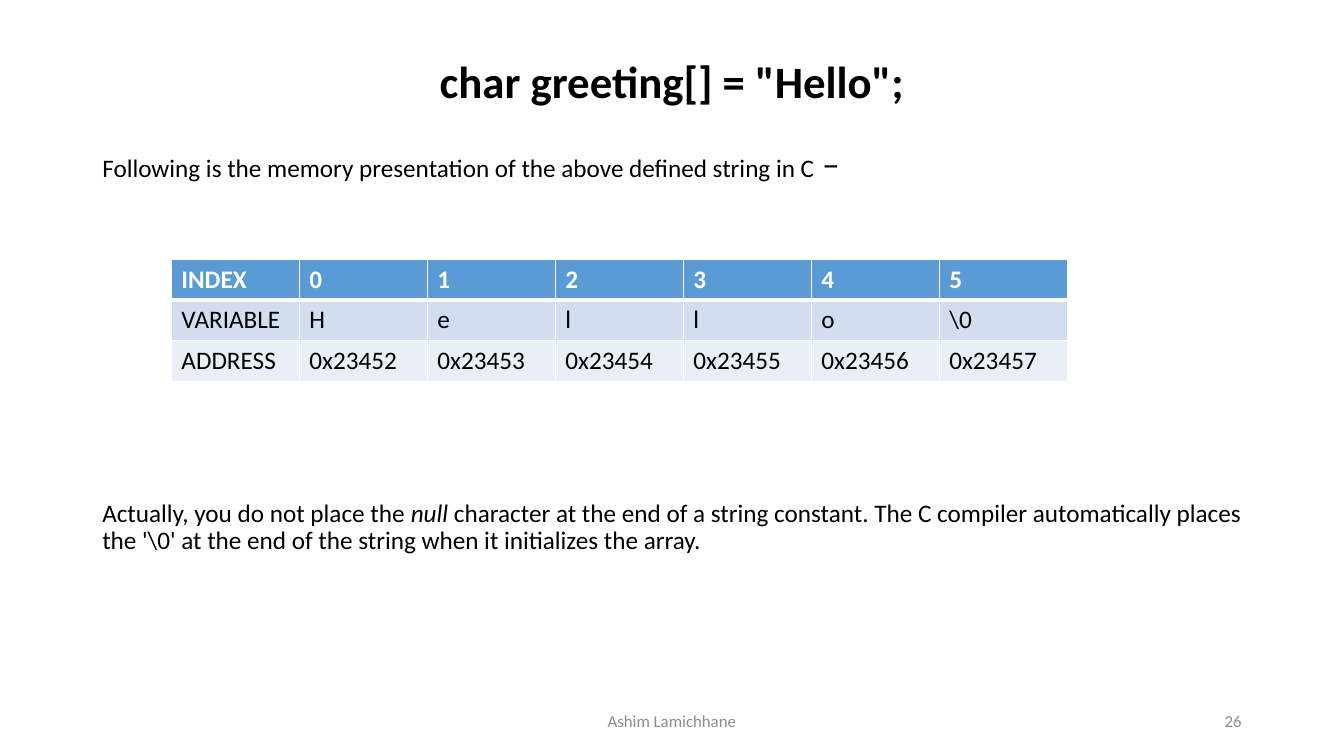
from lxml import etree
from pptx import Presentation
from pptx.dml.color import RGBColor
from pptx.enum.text import MSO_ANCHOR as Anchor, PP_ALIGN as Align
from pptx.oxml.ns import qn
from pptx.util import Pt

FONT = "Calibri"
BLACK, WHITE, GREY = "000000", "FFFFFF", "8C8C8C"
HEADER_FILL, BAND_FILLS = "5B9BD5", ("D2DEEF", "EAEFF7")
MARGIN, CONTENT_WIDTH = 66, 828
FOOTER_TOP, FOOTER_HEIGHT = 500.5, 28.75

MEMORY = [
    ["INDEX", *map(str, range(6))],
    ["VARIABLE", *"Hello", r"\0"],
    ["ADDRESS", *(f"0x{23452 + index}" for index in range(6))],
]


def color(value):
    return RGBColor.from_string(value)


class SlideBuilder:
    def __init__(self, slide):
        self.slide = slide

    def style(self, paragraph, size, fill=BLACK, bold=False, align=Align.LEFT):
        paragraph.alignment = align
        font = paragraph.font
        font.name, font.size, font.bold = FONT, Pt(size), bold
        font.color.rgb = color(fill)

    def title(self, text, left, top, width, height):
        shape = self.slide.shapes.title
        shape.left, shape.top, shape.width, shape.height = map(Pt, (left, top, width, height))
        frame = shape.text_frame
        frame.text = text
        frame.vertical_anchor = Anchor.MIDDLE
        paragraph = frame.paragraphs[0]
        paragraph.line_spacing = 0.9
        self.style(paragraph, 32, bold=True, align=Align.CENTER)

    def text_box(self, left, top, width, height, anchor=Anchor.TOP):
        frame = self.slide.shapes.add_textbox(*map(Pt, (left, top, width, height))).text_frame
        frame.word_wrap = True
        frame.vertical_anchor = anchor
        return frame

    def body_text(self, paragraph, runs, space_before, align=Align.LEFT):
        """Fill a paragraph from (text, size, italic) runs."""
        self.style(paragraph, 18, align=align)
        paragraph.line_spacing = 0.9
        paragraph.space_before = Pt(space_before)
        for text, size, italic in runs:
            run = paragraph.add_run()
            run.text = text
            run.font.size, run.font.italic = Pt(size), italic

    def footer(self, text, left, width, align):
        frame = self.text_box(left, FOOTER_TOP, width, FOOTER_HEIGHT, Anchor.MIDDLE)
        frame.text = text
        self.style(frame.paragraphs[0], 12, GREY, align=align)

    def border(self, cell, side, width):
        line = etree.SubElement(cell._tc.get_or_add_tcPr(), qn(f"a:ln{side}"), w=str(Pt(width)))
        fill = etree.SubElement(line, qn("a:solidFill"))
        etree.SubElement(fill, qn("a:srgbClr"), val=WHITE)

    def table(self, rows, left, top, column_width, row_height):
        row_count, column_count = len(rows), len(rows[0])
        size = column_width * column_count, row_height * row_count
        table = self.slide.shapes.add_table(
            row_count, column_count, *map(Pt, (left, top, *size))).table
        for column in table.columns:
            column.width = Pt(column_width)
        for row_index, values in enumerate(rows):
            table.rows[row_index].height = Pt(row_height)
            header = row_index == 0
            fill = HEADER_FILL if header else BAND_FILLS[(row_index - 1) % 2]
            widths = {"L": 1, "R": 1, "T": 3 if row_index == 1 else 1, "B": 3 if header else 1}
            for column_index, value in enumerate(values):
                cell = table.cell(row_index, column_index)
                cell.text = value
                self.style(cell.text_frame.paragraphs[0], 18, WHITE if header else BLACK, header)
                for side, width in widths.items():
                    self.border(cell, side, width)
                cell.fill.solid()
                cell.fill.fore_color.rgb = color(fill)


def main():
    presentation = Presentation()
    presentation.slide_width, presentation.slide_height = Pt(960), Pt(540)
    builder = SlideBuilder(presentation.slides.add_slide(presentation.slide_layouts[5]))

    # Title
    builder.title('char greeting[] = "Hello";', MARGIN, 28.75, CONTENT_WIDTH, 62)

    # Explanation above and below the table
    body = builder.text_box(MARGIN, 102.25, CONTENT_WIDTH, 384)
    builder.body_text(body.paragraphs[0], [
        ("Following is the memory presentation of the above defined string in C", 18, False),
        (" −", 24, False),
    ], space_before=10)
    builder.body_text(body.add_paragraph(), [
        ("Actually, you do not place the ", 18, False),
        ("null", 18, True),
        (" character at the end of a string constant. The C compiler automatically places "
         r"the '\0' at the end of the string when it initializes the array.", 18, False),
    ], space_before=226, align=Align.JUSTIFY)

    # Memory table
    builder.table(MEMORY, 122.4, 185, 91.44, 29.2)

    # Footer
    builder.footer("Ashim Lamichhane", 318, 324, Align.CENTER)
    builder.footer("26", 678, 216, Align.RIGHT)

    presentation.save("out.pptx")


if __name__ == "__main__":
    main()
